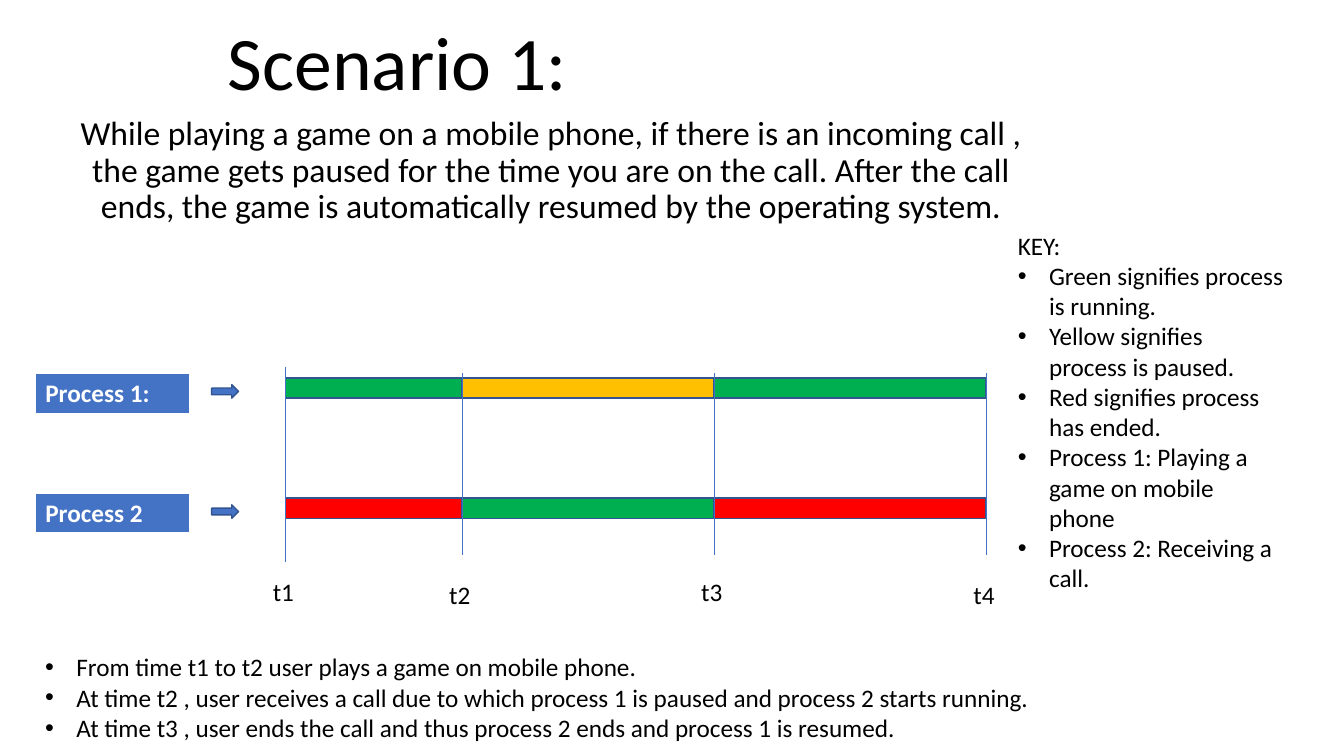
from lxml.etree import SubElement
from pptx import Presentation
from pptx.dml.color import RGBColor
from pptx.enum.shapes import MSO_CONNECTOR as Connector, MSO_SHAPE as Preset
from pptx.enum.text import MSO_ANCHOR as Anchor, MSO_AUTO_SIZE as AutoSize, PP_ALIGN as Align
from pptx.oxml.ns import qn
from pptx.util import Inches, Pt

COLUMNS, ROWS = 160, 90
BLUE, OUTLINE, BLACK, WHITE = "4472C4", "325491", "000000", "FFFFFF"
RUNNING, PAUSED, ENDED = "00B050", "FFC000", "FF0000"


def color(value):
    return RGBColor.from_string(value)


class SlideBuilder:
    font = "Calibri"
    body_size = 18
    indent = Inches(0.31)

    def __init__(self, presentation):
        self.column = presentation.slide_width / COLUMNS
        self.row = presentation.slide_height / ROWS
        self.slide = presentation.slides.add_slide(presentation.slide_layouts[0])
        self.shapes = self.slide.shapes

    def box(self, left, top, width, height):
        return (round(left * self.column), round(top * self.row),
                round(width * self.column), round(height * self.row))

    def style(self, paragraph, size, text_color=BLACK, bold=False):
        for run in paragraph.runs:
            run.font.name, run.font.size, run.font.bold = self.font, Pt(size), bold
            run.font.color.rgb = color(text_color)

    def placeholder(self, index, text, area, size, anchor, space_before=0):
        shape = self.slide.placeholders[index]
        shape.left, shape.top, shape.width, shape.height = self.box(*area)
        frame = shape.text_frame
        frame.text = text
        frame.word_wrap, frame.auto_size = True, AutoSize.NONE
        frame.vertical_anchor = anchor
        paragraph = frame.paragraphs[0]
        paragraph.alignment, paragraph.line_spacing = Align.CENTER, 0.9
        paragraph.space_before = Pt(space_before)
        self.style(paragraph, size)

    def text(self, lines, area, first_bullet=None):
        frame = self.shapes.add_textbox(*self.box(*area)).text_frame
        frame.word_wrap = True
        frame.text = "\n".join(lines)
        for index, paragraph in enumerate(frame.paragraphs):
            self.style(paragraph, self.body_size)
            if first_bullet is not None and index >= first_bullet:
                self.bullet(paragraph)

    def bullet(self, paragraph):
        properties = paragraph._p.get_or_add_pPr()
        properties.set("marL", str(self.indent))
        properties.set("indent", str(-self.indent))
        SubElement(properties, qn("a:buFont"), typeface="Arial")
        SubElement(properties, qn("a:buChar"), char="•")

    def preset(self, kind, area, fill):
        shape = self.shapes.add_shape(kind, *self.box(*area))
        shape.shadow.inherit = False
        shape.fill.solid()
        shape.fill.fore_color.rgb = color(fill)
        shape.line.color.rgb = color(OUTLINE)
        shape.line.width = Pt(1)

    def line(self, x, top, bottom):
        left, start, _, _ = self.box(x, top, 0, 0)
        end = round(bottom * self.row)
        connector = self.shapes.add_connector(Connector.STRAIGHT, left, start, left, end)
        connector.line.color.rgb = color(BLUE)
        connector.line.width = Pt(0.5)
        SubElement(connector._element.spPr, qn("a:effectLst"))

    def label_table(self, text, area):
        table = self.shapes.add_table(1, 1, *self.box(*area)).table
        cell = table.cell(0, 0)
        cell.text_frame.text = text
        self.style(cell.text_frame.paragraphs[0], self.body_size, WHITE, True)
        properties = cell._tc.get_or_add_tcPr()
        for side, width in (("L", 1), ("R", 1), ("T", 1), ("B", 3)):
            border = SubElement(properties, qn(f"a:ln{side}"), w=str(Pt(width)))
            fill = SubElement(border, qn("a:solidFill"))
            SubElement(fill, qn("a:srgbClr"), val=WHITE)
        cell.fill.solid()
        cell.fill.fore_color.rgb = color(BLUE)


presentation = Presentation()
presentation.slide_width, presentation.slide_height = Inches(13.333), Inches(7.5)
builder = SlideBuilder(presentation)

builder.placeholder(0, "Scenario 1:", (5.6, 4.1, 83.5, 9.2), 54, Anchor.BOTTOM)
builder.placeholder(
    1, "While playing a game on a mobile phone, if there is an incoming call , "
    "the game gets paused for the time you are on the call. After the call ends, "
    "the game is automatically resumed by the operating system.",
    (5.6, 13.3, 120, 21.7), 24, Anchor.TOP, 10)

times = [34, 55, 85, 117.4]
processes = [
    ("Process 1:", 45, 5, (RUNNING, PAUSED, RUNNING)),
    ("Process 2", 59.3, 4.9, (ENDED, RUNNING, ENDED)),
]
for name, top, label_height, states in processes:
    for start, end, state in zip(times, times[1:], states):
        builder.preset(Preset.RECTANGLE, (start, top, end - start, 2.4), state)
    builder.label_table(name, (4.2, top - 0.6, 18.4, label_height))
    builder.preset(Preset.RIGHT_ARROW, (25.2, top + 0.8, 3.2, 1.6), BLUE)

overhangs = [0.75, 0, 0, 0]
label_tops = [68, 68.4, 68, 68.4]
label_widths = [5.3, 5.3, 5.3, 8.4]
marks = zip(times, overhangs, label_tops, label_widths)
for number, (time, overhang, label_top, label_width) in enumerate(marks, 1):
    builder.line(time, 44.4 - overhang, 66.1 + overhang)
    builder.text([f"t{number}"], (time - 2.7, label_top, label_width, 4.8))

builder.text([
    "KEY:",
    "Green signifies process is running.",
    "Yellow signifies process is paused.",
    "Red signifies process has ended.",
    "Process 1: Playing a game on mobile phone",
    "Process 2: Receiving a call.",
], (120, 26.8, 34, 44.9), first_bullet=1)
builder.text([
    "From time t1 to t2 user plays a game on mobile phone.",
    "At time t2 , user receives a call due to which process 1 is paused "
    "and process 2 starts running.",
    "At time t3 , user ends the call and thus process 2 ends and process 1 is resumed.",
], (4.2, 77, 140.6, 12.1), first_bullet=0)

presentation.save("out.pptx")
